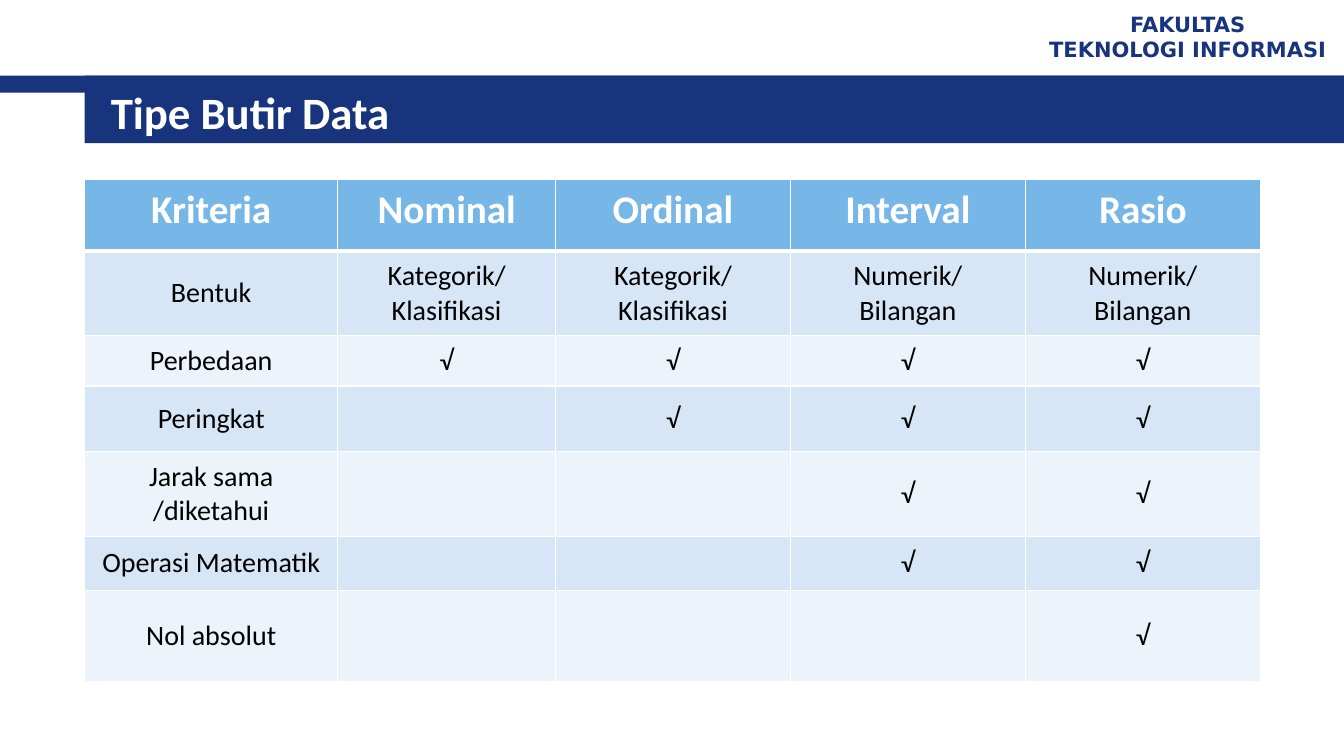
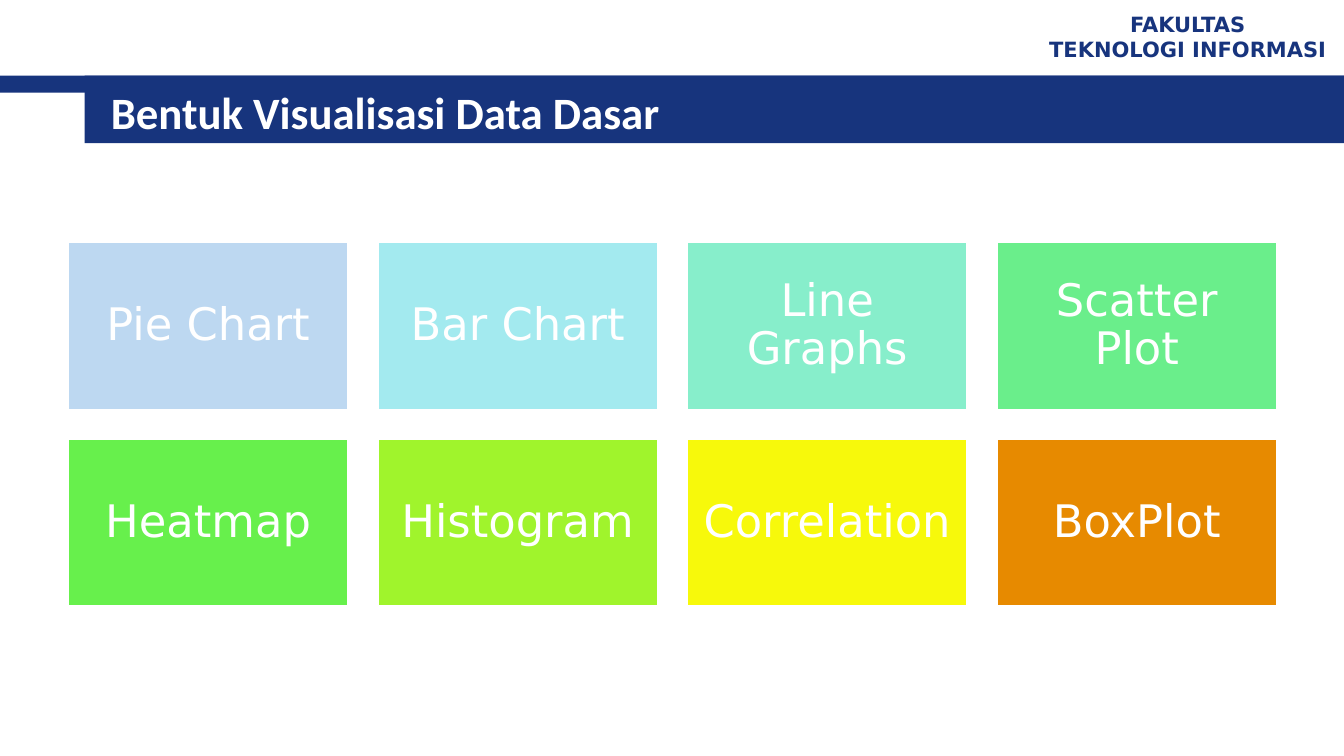
import pptx
import pptx.dml.color
import pptx.enum.shapes
import pptx.enum.text
import pptx.oxml
import pptx.oxml.ns
import pptx.util

Inches = pptx.util.Inches
Pt = pptx.util.Pt
ALIGN = pptx.enum.text.PP_ALIGN
MIDDLE = pptx.enum.text.MSO_ANCHOR.MIDDLE

COLORS = {
    "navy": "17347D",
    "white": "FFFFFF",
    "black": "000000",
    "header": "77B7E7",
    "odd_row": "D6E6F6",
    "even_row": "ECF3FA",
}

# Text styles: font attributes, plus the colour name
STYLES = {
    "faculty": ({"name": "DejaVu Sans", "size": Pt(15), "bold": True}, "navy"),
    "title": ({"name": "Calibri", "size": Pt(32), "bold": True}, "white"),
    "table_head": ({"name": "Calibri", "size": Pt(28), "bold": True}, "white"),
    "table_body": ({"name": "Calibri", "size": Pt(20), "bold": False}, "black"),
    "tile": ({"name": "DejaVu Sans", "size": Pt(32), "bold": False}, "white"),
}

CRITERIA = [
    ["Kriteria", "Nominal", "Ordinal", "Interval", "Rasio"],
    ["Bentuk", "Kategorik/ Klasifikasi", "Kategorik/ Klasifikasi",
     "Numerik/ Bilangan", "Numerik/ Bilangan"],
    ["Perbedaan", "√", "√", "√", "√"],
    ["Peringkat", "", "√", "√", "√"],
    ["Jarak sama /diketahui", "", "", "√", "√"],
    ["Operasi Matematik", "", "", "√", "√"],
    ["Nol absolut", "", "", "", "√"],
]
COLUMN_WIDTHS = [2.51, 2.16, 2.33, 2.33, 2.33]
ROW_HEIGHTS = [0.71, 0.84, 0.5, 0.65, 0.84, 0.54, 0.9]

CHART_TYPES = [
    ("Pie Chart", "BDD8F1"), ("Bar Chart", "A3EAEF"),
    ("Line Graphs", "87EECB"), ("Scatter Plot", "6AEE8B"),
    ("Heatmap", "67F04C"), ("Histogram", "A0F42C"),
    ("Correlation", "F7F90B"), ("BoxPlot", "E78A00"),
]


def rgb(hex_value):
    return pptx.dml.color.RGBColor.from_string(hex_value)


def set_format(target, values):
    for attribute, value in values.items():
        setattr(target, attribute, value)


def write(frame, lines, style, align=ALIGN.CENTER, line_spacing=None):
    """Fill a text frame with one paragraph per line."""
    font_values, color = STYLES[style]
    frame.word_wrap = True
    for index, line in enumerate(lines):
        paragraph = frame.add_paragraph() if index else frame.paragraphs[0]
        set_format(paragraph, {"alignment": align, "line_spacing": line_spacing})
        run = paragraph.add_run()
        run.text = line
        set_format(run.font, font_values)
        run.font.color.rgb = rgb(COLORS[color])


def add_rectangle(slide, box, fill):
    rectangle = slide.shapes.add_shape(
        pptx.enum.shapes.MSO_SHAPE.RECTANGLE, *map(Inches, box))
    rectangle.shadow.inherit = False
    rectangle.fill.solid()
    rectangle.fill.fore_color.rgb = rgb(fill)
    rectangle.line.fill.background()
    return rectangle


def add_label(slide, box, lines, style, align):
    frame = slide.shapes.add_textbox(*map(Inches, box)).text_frame
    frame.vertical_anchor = MIDDLE
    write(frame, lines, style, align)


def add_titled_slide(deck, title):
    """Blank slide with the faculty name, the bands and a title."""
    slide = deck.slides.add_slide(deck.slide_layouts[6])
    for band in ((0, 0.75, 13.33, 0.17), (0.84, 0.75, 12.49, 0.67)):
        add_rectangle(slide, band, COLORS["navy"])
    add_label(slide, (10.23, 0.05, 3.1, 0.62),
              ["FAKULTAS", "TEKNOLOGI INFORMASI"], "faculty", ALIGN.CENTER)
    add_label(slide, (1, 0.8, 11.89, 0.62), [title], "title", ALIGN.LEFT)
    return slide


def set_borders(cell, top, bottom):
    """White cell borders; top and bottom widths are in points."""
    properties = cell._tc.get_or_add_tcPr()
    for side, width in (("L", 1), ("R", 1), ("T", top), ("B", bottom)):
        properties.append(pptx.oxml.parse_xml(
            f'<a:ln{side} {pptx.oxml.ns.nsdecls("a")} w="{Pt(width)}">'
            f'<a:solidFill><a:srgbClr val="{COLORS["white"]}"/></a:solidFill>'
            f'</a:ln{side}>'))


def add_criteria_table(slide, left, top):
    table = slide.shapes.add_table(
        len(ROW_HEIGHTS), len(COLUMN_WIDTHS), Inches(left), Inches(top),
        Inches(sum(COLUMN_WIDTHS)), Inches(sum(ROW_HEIGHTS))).table
    for column, width in zip(table.columns, COLUMN_WIDTHS):
        column.width = Inches(width)
    for row, height in zip(table.rows, ROW_HEIGHTS):
        row.height = Inches(height)

    for row_index, texts in enumerate(CRITERIA):
        is_head = row_index == 0
        fill = "header" if is_head else ("even_row", "odd_row")[row_index % 2]
        for column_index, text in enumerate(texts):
            cell = table.cell(row_index, column_index)
            set_borders(cell, top=3 if row_index == 1 else 1,
                        bottom=3 if is_head else 1)
            cell.fill.solid()
            cell.fill.fore_color.rgb = rgb(COLORS[fill])
            set_format(cell, {
                "margin_left": Inches(0.13), "margin_right": Inches(0.13),
                "margin_top": Inches(0.07), "margin_bottom": Inches(0.07)})
            if not is_head:
                cell.vertical_anchor = MIDDLE
            if text:
                write(cell.text_frame, [text],
                      "table_head" if is_head else "table_body")


def add_tile_grid(slide, left, top, columns=4):
    width, height, gap = 2.79, 1.67, 0.28
    for index, (name, fill) in enumerate(CHART_TYPES):
        row, column = divmod(index, columns)
        tile = add_rectangle(
            slide, (left + column * (width + gap), top + row * (height + gap),
                    width, height), fill)
        tile.line.color.rgb = rgb(COLORS["white"])
        tile.line.width = Pt(2)
        frame = tile.text_frame
        set_format(frame, {
            "vertical_anchor": MIDDLE,
            "margin_left": Inches(0.13), "margin_right": Inches(0.13),
            "margin_top": Inches(0.13), "margin_bottom": Inches(0.13)})
        write(frame, [name], "tile", line_spacing=0.9)


def main():
    deck = pptx.Presentation()
    deck.slide_width, deck.slide_height = Inches(13.33), Inches(7.5)

    # Data item types
    add_criteria_table(add_titled_slide(deck, "Tipe Butir Data"), 0.84, 1.78)

    # Basic chart types
    add_tile_grid(
        add_titled_slide(deck, "Bentuk Visualisasi Data Dasar"), 0.67, 2.4)

    deck.save("out.pptx")


if __name__ == "__main__":
    main()
